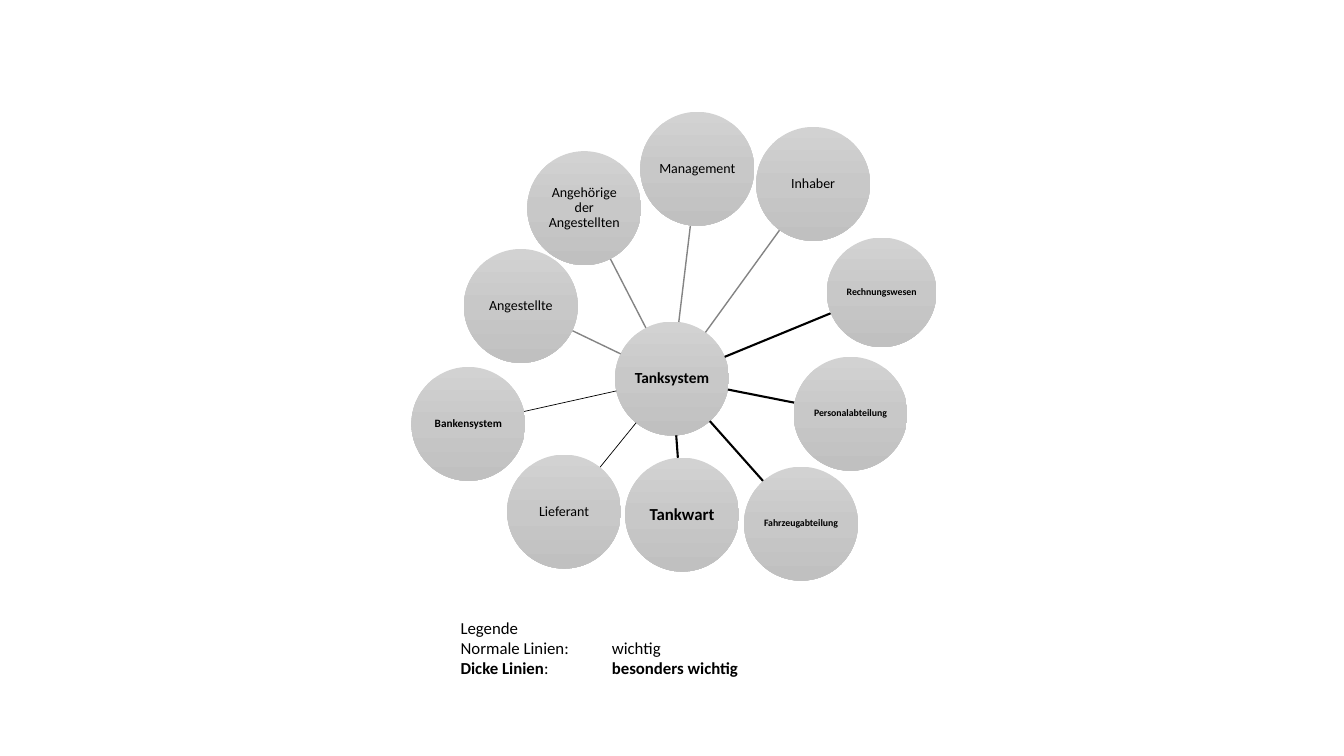
from copy import deepcopy
from math import hypot

from pptx import Presentation
from pptx import util as u
from pptx.dml.color import RGBColor
from pptx.enum import shapes, text
from pptx.oxml.ns import qn
from pptx.oxml.xmlchemy import OxmlElement

W, H = u.Inches(13.33), u.Inches(7.5)
COLORS = {"top": "D2D2D2", "middle": "C8C8C8", "bottom": "C0C0C0",
          "grey": "848484", "black": "000000"}
DIAMETER = 0.1507
HUB = ("Tanksystem", 0.5, 0.5007, DIAMETER, 11, True)
PARTIES = [
    (("Management", 0.5188, 0.2233, DIAMETER, 10, False), "grey", 1),
    (("Inhaber", 0.605, 0.2433, DIAMETER, 10, False), "grey", 1),
    (("Rechnungswesen", 0.656, 0.3867, 0.145, 7, True), "black", 1.5),
    (("Personalabteilung", 0.6328, 0.5473, DIAMETER, 7, True), "black", 1.5),
    (("Fahrzeugabteilung", 0.596, 0.6927, DIAMETER, 7, True), "black", 1.5),
    (("Tankwart", 0.5075, 0.6807, DIAMETER, 12, True), "black", 1.5),
    (("Lieferant", 0.4197, 0.6767, DIAMETER, 10, False), "black", 0.5),
    (("Bankensystem", 0.3485, 0.5607, DIAMETER, 8, True), "black", 0.5),
    (("Angestellte", 0.3875, 0.4047, DIAMETER, 10, False), "grey", 1),
    (("Angehörige der Angestellten", 0.4347, 0.2753, DIAMETER, 10, False),
     "grey", 1),
]
LEGEND = [
    [("Legende", False)],
    [("Normale Linien: \twichtig", False)],
    [("Dicke Linien", True), (": \t\t", False), ("besonders wichtig", True)],
]


def rgb(name):
    return RGBColor.from_string(COLORS[name])


def style_font(font, size):
    font.name = "Calibri"
    font.size = u.Pt(size)
    font.color.rgb = rgb("black")


def fill_gradient(sp):
    sp.fill.gradient()
    sp.fill.gradient_angle = 270
    stops = sp._element.spPr.find(".//" + qn("a:gsLst"))
    stops.insert(1, deepcopy(stops[0]))
    names = ("top", "middle", "bottom")
    for i, (stop, name) in enumerate(zip(sp.fill.gradient_stops, names)):
        stop.position = i / 2
        stop.color.rgb = rgb(name)


def add_circle(s, label, x, y, diameter, size, bold):
    d = int(H * diameter)
    sp = s.shapes.add_shape(shapes.MSO_SHAPE.OVAL, int(W * x - d / 2),
                            int(H * y - d / 2), d, d)
    sp.shadow.inherit = False
    sp.line.fill.background()
    fill_gradient(sp)
    tf = sp.text_frame
    tf.word_wrap = True
    tf.vertical_anchor = text.MSO_ANCHOR.MIDDLE
    tf.margin_left = tf.margin_right = tf.margin_top = tf.margin_bottom = 0
    p = tf.paragraphs[0]
    p.text = label
    p.alignment = text.PP_ALIGN.CENTER
    p.line_spacing = 0.9
    style_font(p.font, size)
    p.font.bold = bold


def add_spoke(s, party, color, width):
    x1, y1, x2, y2 = W * HUB[1], H * HUB[2], W * party[1], H * party[2]
    length = hypot(x2 - x1, y2 - y1)
    start = H * HUB[3] / 2 / length
    end = 1 - H * party[3] / 2 / length
    points = [int(a + (b - a) * t) for t in (start, end)
              for a, b in ((x1, x2), (y1, y2))]
    line = s.shapes.add_connector(shapes.MSO_CONNECTOR.STRAIGHT, *points)
    line.line.color.rgb = rgb(color)
    line.line.width = u.Pt(width)
    line._element.spPr.append(OxmlElement("a:effectLst"))


def add_legend(s, x, y, width, height):
    tf = s.shapes.add_textbox(int(W * x), int(H * y), int(W * width),
                              int(H * height)).text_frame
    tf.word_wrap = True
    tf.auto_size = text.MSO_AUTO_SIZE.SHAPE_TO_FIT_TEXT
    for i, runs in enumerate(LEGEND):
        p = tf.add_paragraph() if i else tf.paragraphs[0]
        style_font(p.font, 12)
        for words, bold in runs:
            r = p.add_run()
            r.text = words
            r.font.bold = bold


def main():
    prs = Presentation()
    prs.slide_width, prs.slide_height = W, H
    s = prs.slides.add_slide(prs.slide_layouts[6])
    add_circle(s, *HUB)
    for party, color, width in PARTIES:
        add_spoke(s, party, color, width)
        add_circle(s, *party)
    add_legend(s, 0.3353, 0.8107, 0.3766, 0.0947)
    prs.save("out.pptx")


if __name__ == "__main__":
    main()
